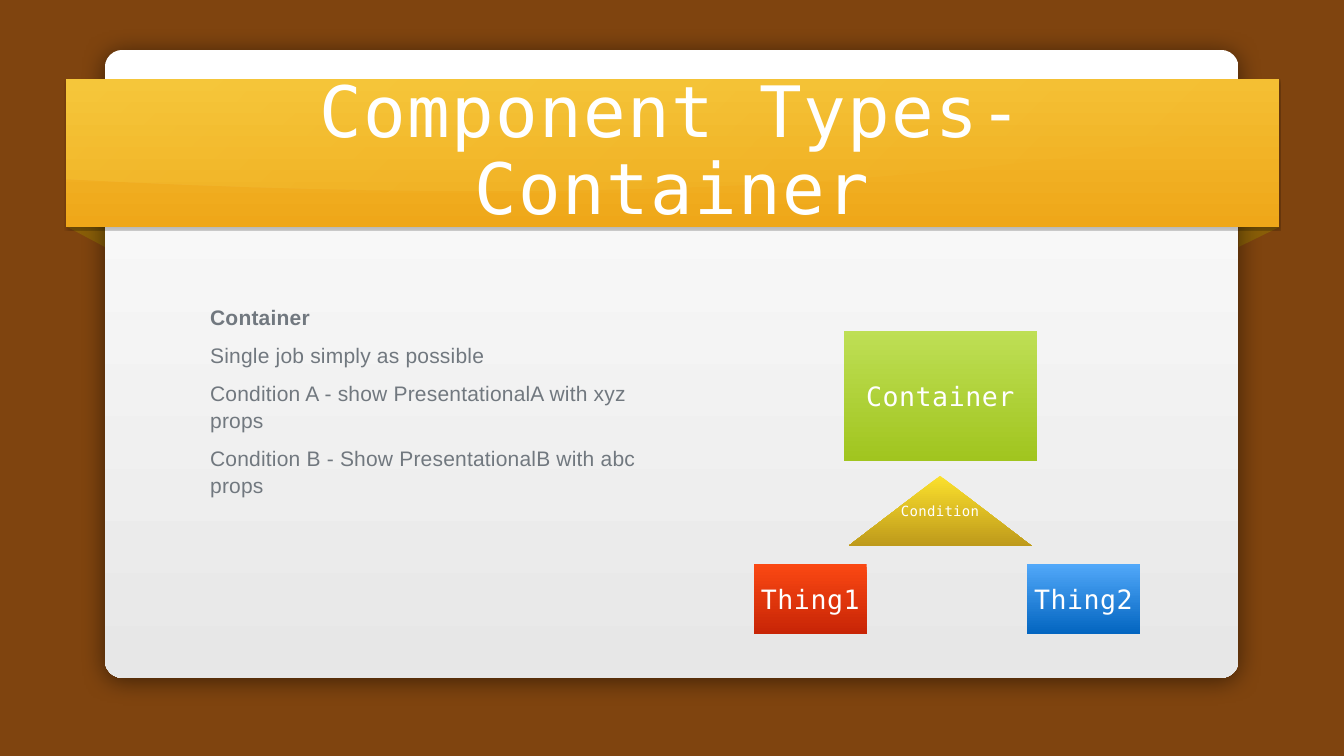
from dataclasses import dataclass

import lxml.etree
import pptx
import pptx.dml.color
import pptx.enum.shapes
import pptx.enum.text
import pptx.oxml.ns
import pptx.util

Inches = pptx.util.Inches
Pt = pptx.util.Pt
qn = pptx.oxml.ns.qn
Point = tuple[float, float]

MONO = "DejaVu Sans Mono"
MIDDLE = pptx.enum.text.MSO_ANCHOR.MIDDLE
TOP = pptx.enum.text.MSO_ANCHOR.TOP
CENTER = pptx.enum.text.PP_ALIGN.CENTER
LEFT = pptx.enum.text.PP_ALIGN.LEFT
RECTANGLE = pptx.enum.shapes.MSO_SHAPE.RECTANGLE
ROUNDED = pptx.enum.shapes.MSO_SHAPE.ROUNDED_RECTANGLE


@dataclass
class Style:
    size: float
    color: str
    spacing: float
    font: str = MONO
    bold: bool = False


@dataclass
class Frame:
    left: float
    top: float
    width: float
    height: float


@dataclass
class Node:
    label: str
    frame: Frame
    start: str
    end: str
    size: float = 38
    triangle: bool = False


def rgb(value: str) -> pptx.dml.color.RGBColor:
    return pptx.dml.color.RGBColor.from_string(value)


def paint(shape, start: str, end: str = "", angle: float = 270) -> None:
    shape.shadow.inherit = False
    shape.line.fill.background()
    if not end:
        shape.fill.solid()
        shape.fill.fore_color.rgb = rgb(start)
        return
    shape.fill.gradient()
    shape.fill.gradient_angle = angle
    for stop, color in zip(shape.fill.gradient_stops, (start, end)):
        stop.color.rgb = rgb(color)


def set_alpha(color, percent: float) -> None:
    alpha = lxml.etree.SubElement(color, qn("a:alpha"))
    alpha.set("val", str(int(percent * 1000)))


def cast_shadow(shape, opacity: float, blur: float, distance: float) -> None:
    effects = shape.element.spPr.find(qn("a:effectLst"))
    shadow = lxml.etree.SubElement(effects, qn("a:outerShdw"))
    shadow.set("blurRad", str(Pt(blur)))
    shadow.set("dist", str(Pt(distance)))
    shadow.set("dir", "5400000")
    color = lxml.etree.SubElement(shadow, qn("a:srgbClr"))
    color.set("val", "000000")
    set_alpha(color, opacity)


def add_box(page, kind, frame: Frame):
    return page.shapes.add_shape(kind, Inches(frame.left), Inches(frame.top),
                                 Inches(frame.width), Inches(frame.height))


def add_outline(page, points: list[Point]):
    corners = [(Inches(x), Inches(y)) for x, y in points]
    builder = page.shapes.build_freeform(*corners[0])
    builder.add_line_segments(corners[1:], close=True)
    return builder.convert_to_shape()


def curve(a: Point, b: Point, c: Point, d: Point, steps: int = 40) -> list[Point]:
    points = []
    for step in range(steps + 1):
        t = step / steps
        weights = ((1 - t) ** 3, 3 * t * (1 - t) ** 2, 3 * t * t * (1 - t), t ** 3)
        points.append(tuple(sum(w * p[axis] for w, p in zip(weights, (a, b, c, d)))
                            for axis in (0, 1)))
    return points


def prepare(box, inset: float, anchor) -> None:
    text = box.text_frame
    text.word_wrap = True
    text.auto_size = pptx.enum.text.MSO_AUTO_SIZE.NONE
    text.vertical_anchor = anchor
    text.margin_left = text.margin_right = Inches(inset)
    text.margin_top = text.margin_bottom = Inches(inset)


def write(para, words: str, style: Style, align) -> None:
    para.alignment = align
    span = para.add_run()
    span.text = words
    span.font.name = style.font
    span.font.size = Pt(style.size)
    span.font.bold = style.bold
    span.font.color.rgb = rgb(style.color)
    span._r.get_or_add_rPr().set("spc", str(int(style.spacing * 100)))


def place(box, frame: Frame) -> None:
    box.left, box.top = Inches(frame.left), Inches(frame.top)
    box.width, box.height = Inches(frame.width), Inches(frame.height)
    tree = box.element.getparent()
    tree.append(box.element)


def draw_ribbon_card(page) -> None:
    for inner, outer in ((24.58, 25.4), (2.08, 1.33)):
        paint(add_outline(page, [(inner, 4.5), (inner, 4.9), (outer, 4.5)]), "895E08")

    card = add_box(page, ROUNDED, Frame(2.08, 0.99, 22.5, 12.46))
    card.adjustments[0] = 0.028
    paint(card, "FFFFFF", "E7E7E7")
    cast_shadow(card, 50, 35, 5)

    ribbon = add_box(page, RECTANGLE, Frame(1.31, 1.57, 24.08, 2.94))
    paint(ribbon, "F4BF33", "EFA719")
    cast_shadow(ribbon, 25, 2, 2)

    edge = curve((25.4, 2.29), (25.4, 2.29), (18.41, 4.5), (1.32, 3.55))
    gloss = add_outline(page, [(1.32, 1.57), (25.4, 1.57)] + edge)
    paint(gloss, "FFF76B", "FFF76B", 315)
    for stop, opacity in zip(gloss.element.spPr.iter(qn("a:gs")), (15, 0)):
        set_alpha(stop[0], opacity)


def draw_title(page) -> None:
    box = page.shapes.title
    place(box, Frame(3.12, 1.96, 20.42, 2.15))
    prepare(box, 0, MIDDLE)
    para = box.text_frame.paragraphs[0]
    para.line_spacing = 0.9
    write(para, "Component Types- Container", Style(101.2, "FFFFFF", 2), CENTER)


def draw_body(page, lines: list[str]) -> None:
    box = page.placeholders[1]
    place(box, Frame(4.17, 5.08, 18.33, 7.58))
    prepare(box, 0, TOP)
    box.text_frame.margin_top = Inches(0.92)
    columns = box.text_frame._txBody.bodyPr
    columns.set("numCol", "2")
    columns.set("spcCol", str(Inches(0.78)))
    for index, words in enumerate(lines):
        para = box.text_frame.add_paragraph() if index else box.text_frame.paragraphs[0]
        para.space_before = Pt(16 if index else 0)
        para.line_spacing = 1.07
        properties = para._p.get_or_add_pPr()
        properties.set("marL", "0")
        properties.set("indent", "0")
        lxml.etree.SubElement(properties, qn("a:buNone"))
        write(para, words, Style(30, "71787F", 0.3, "Arial", index == 0), LEFT)


def draw_node(page, node: Node) -> None:
    frame = node.frame
    if node.triangle:
        base = frame.top + frame.height
        box = add_outline(page, [(frame.left + frame.width / 2, frame.top),
                                 (frame.left + frame.width, base), (frame.left, base)])
    else:
        box = add_box(page, RECTANGLE, frame)
    paint(box, node.start, node.end)
    prepare(box, 0.06, MIDDLE)
    write(box.text_frame.paragraphs[0], node.label,
          Style(node.size, "FFFFFF", node.size / 50), CENTER)


def main() -> None:
    deck = pptx.Presentation()
    deck.slide_width, deck.slide_height = Inches(26.67), Inches(15)
    page = deck.slides.add_slide(deck.slide_layouts[1])
    page.background.fill.solid()
    page.background.fill.fore_color.rgb = rgb("7F440F")
    draw_ribbon_card(page)
    draw_title(page)
    draw_body(page, ["Container", "Single job simply as possible",
                     "Condition A - show PresentationalA with xyz props",
                     "Condition B - Show PresentationalB with abc props"])
    for node in (
        Node("Container", Frame(16.74, 6.56, 3.84, 2.58), "BEDF55", "A1C51F"),
        Node("Condition", Frame(16.84, 9.44, 3.63, 1.39), "FBE02C", "BE9A1B", 20, True),
        Node("Thing1", Frame(14.96, 11.19, 2.24, 1.39), "FA4813", "C82506"),
        Node("Thing2", Frame(20.38, 11.19, 2.24, 1.39), "51A8F9", "0365C0"),
    ):
        draw_node(page, node)
    deck.save("out.pptx")


if __name__ == "__main__":
    main()
